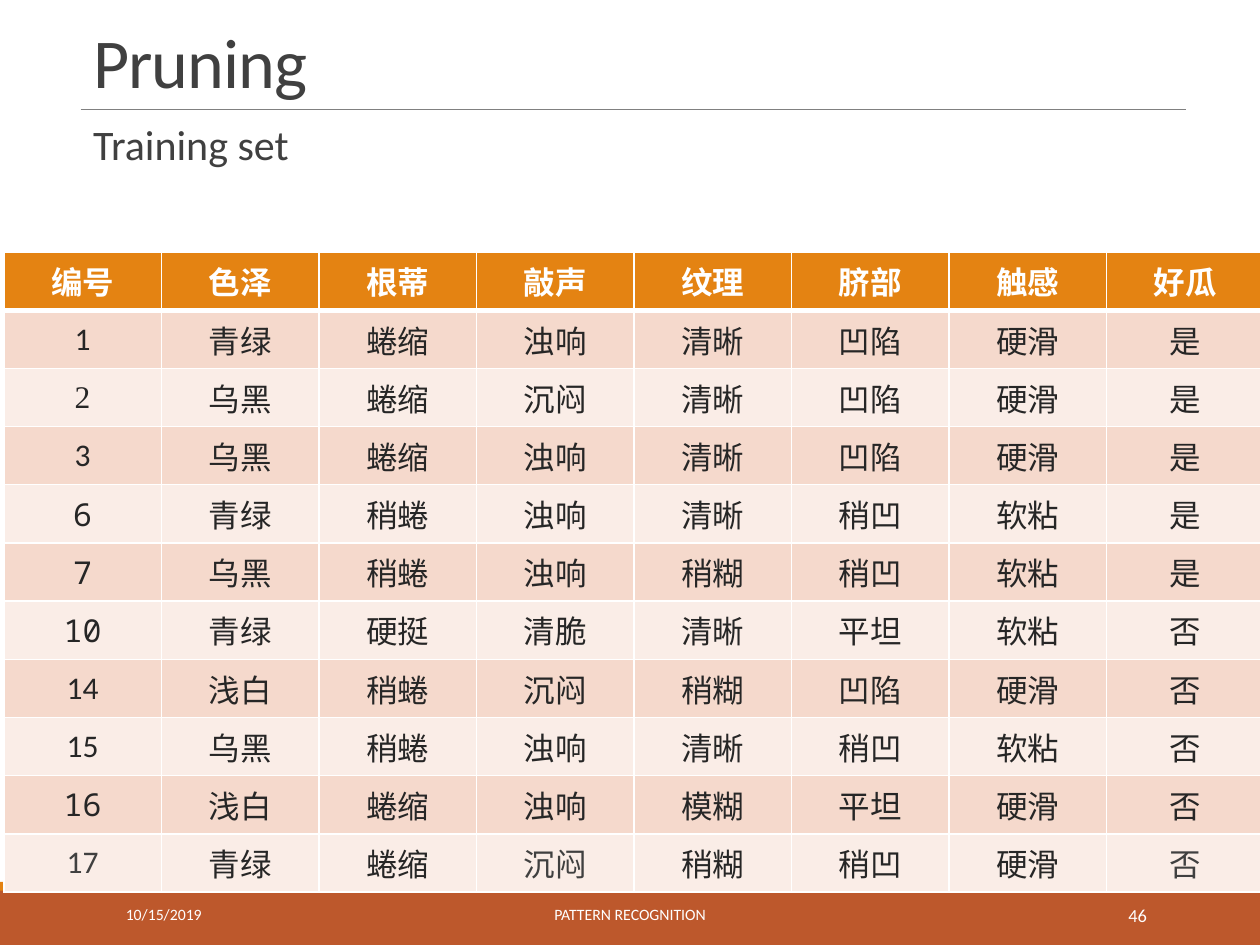
from dataclasses import dataclass

from lxml import etree
from pptx import Presentation
from pptx import util as u
from pptx.dml.color import RGBColor
from pptx.enum import shapes, text
from pptx.oxml import ns


@dataclass(frozen=True)
class Theme:
    orange: RGBColor = RGBColor.from_string("E48312")
    rust: RGBColor = RGBColor.from_string("BD582C")
    rule: RGBColor = RGBColor.from_string("808080")
    heading: RGBColor = RGBColor.from_string("404040")
    body: RGBColor = RGBColor.from_string("262626")
    white: RGBColor = RGBColor.from_string("FFFFFF")
    bands: tuple = (RGBColor.from_string("F5D9CC"), RGBColor.from_string("FAEDE7"))
    font: str = "Calibri"
    title_size: float = 40
    subtitle_size: float = 24
    table_size: float = 18
    footer_size: float = 9
    number_size: float = 10.5


theme = Theme()


def style(paragraph, size, color, name=theme.font, bold=False):
    font = paragraph.font
    font.size, font.name, font.bold = u.Pt(size), name, bold
    font.color.rgb = color


def add_borders(cell, top, bottom):
    """Draw white cell borders; top and bottom are widths in points."""
    properties = cell._tc.get_or_add_tcPr()
    widths = {"a:lnL": 1, "a:lnR": 1, "a:lnT": top, "a:lnB": bottom}
    for index, (tag, width) in enumerate(widths.items()):
        line = etree.Element(ns.qn(tag), w=str(u.Pt(width)))
        fill = etree.SubElement(line, ns.qn("a:solidFill"))
        etree.SubElement(fill, ns.qn("a:srgbClr"), val=str(theme.white))
        properties.insert(index, line)


presentation = Presentation()
presentation.slide_width = u.Inches(10)
presentation.slide_height = u.Inches(7.5)
slide = presentation.slides.add_slide(presentation.slide_layouts[5])

# Footer bars and title rule
for top, height, color in ((7.06, 0.44, theme.rust), (7, 0.07, theme.orange)):
    bar = slide.shapes.add_shape(
        shapes.MSO_SHAPE.RECTANGLE, 0, u.Inches(top), u.Inches(10), u.Inches(height))
    bar.shadow.inherit = False
    bar.fill.solid()
    bar.fill.fore_color.rgb = color
    bar.line.fill.background()

rule = slide.shapes.add_connector(
    shapes.MSO_CONNECTOR.STRAIGHT,
    u.Inches(0.64), u.Inches(0.87), u.Inches(9.41), u.Inches(0.87))
rule.line.color.rgb = theme.rule
rule.line.width = u.Pt(0.5)
etree.SubElement(rule._element.spPr, ns.qn("a:effectLst"))

# Title
title = slide.shapes.title
title.left, title.top = u.Inches(0.64), u.Inches(0.13)
title.width, title.height = u.Inches(8.77), u.Inches(0.74)
title.text_frame.text = "Pruning"
title.text_frame.auto_size = text.MSO_AUTO_SIZE.NONE
title.text_frame.vertical_anchor = text.MSO_ANCHOR.BOTTOM
paragraph = title.text_frame.paragraphs[0]
paragraph.alignment = text.PP_ALIGN.LEFT
paragraph.line_spacing = 0.85
style(paragraph, theme.title_size, theme.heading)
paragraph.runs[0].font._element.set("spc", "-50")

# Subtitle
subtitle = slide.shapes.add_textbox(
    u.Inches(0.64), u.Inches(0.94), u.Inches(8.77), u.Inches(0.6))
frame = subtitle.text_frame
frame.word_wrap = True
frame.margin_left = frame.margin_right = 0
frame.text = "Training set"
paragraph = frame.paragraphs[0]
paragraph.line_spacing = 0.9
paragraph.space_after = u.Pt(2)
properties = paragraph._p.get_or_add_pPr()
properties.set("marL", str(u.Inches(0.1)))
properties.set("indent", "0")
style(paragraph, theme.subtitle_size, theme.heading)

# Footer texts
footers = (
    (0.9, 2.03, "10/15/2019", text.PP_ALIGN.LEFT, theme.footer_size),
    (3.02, 3.96, "PATTERN RECOGNITION", text.PP_ALIGN.CENTER, theme.footer_size),
    (8.12, 1.08, "46", text.PP_ALIGN.RIGHT, theme.number_size),
)
for left, width, label, alignment, size in footers:
    footer = slide.shapes.add_textbox(
        u.Inches(left), u.Inches(7.06), u.Inches(width), u.Inches(0.4))
    frame = footer.text_frame
    frame.word_wrap = True
    frame.vertical_anchor = text.MSO_ANCHOR.MIDDLE
    frame.text = label
    frame.paragraphs[0].alignment = alignment
    style(frame.paragraphs[0], size, theme.white)

# Training samples, each with one font code per column
fonts = {"C": theme.font, "T": "Times New Roman", "M": "Noto Sans Mono"}
samples = (
    ("编号 色泽 根蒂 敲声 纹理 脐部 触感 好瓜", "CCCCCCCC"),
    ("1 青绿 蜷缩 浊响 清晰 凹陷 硬滑 是", "CCCCCCCC"),
    ("2 乌黑 蜷缩 沉闷 清晰 凹陷 硬滑 是", "TTCTCCCT"),
    ("3 乌黑 蜷缩 浊响 清晰 凹陷 硬滑 是", "CTCCCCCC"),
    ("6 青绿 稍蜷 浊响 清晰 稍凹 软粘 是", "MCCCCMMM"),
    ("7 乌黑 稍蜷 浊响 稍糊 稍凹 软粘 是", "MTCCMMMM"),
    ("10 青绿 硬挺 清脆 清晰 平坦 软粘 否", "MCMMCMMM"),
    ("14 浅白 稍蜷 沉闷 稍糊 凹陷 硬滑 否", "CCCCCCCC"),
    ("15 乌黑 稍蜷 浊响 清晰 稍凹 软粘 否", "CCCCCMCC"),
    ("16 浅白 蜷缩 浊响 模糊 平坦 硬滑 否", "MMCCCMCM"),
    ("17 青绿 蜷缩 沉闷 稍糊 稍凹 硬滑 否", "CCCCCMCC"),
)
last_row = len(samples) - 1
muted_cells = {(last_row, 0), (last_row, 3), (last_row, 7)}

table = slide.shapes.add_table(
    len(samples), 8, u.Inches(0.03), u.Inches(2),
    u.Inches(10), u.Inches(5.08)).table
for row, (values, codes) in enumerate(samples):
    header = row == 0
    for column, (value, code) in enumerate(zip(values.split(), codes)):
        cell = table.cell(row, column)
        cell.text = value
        cell.vertical_anchor = text.MSO_ANCHOR.MIDDLE
        cell.fill.solid()
        cell.fill.fore_color.rgb = theme.orange if header else theme.bands[(row - 1) % 2]
        add_borders(cell, top=3 if row == 1 else 1, bottom=3 if header else 1)
        if header:
            color = theme.white
        else:
            color = theme.heading if (row, column) in muted_cells else theme.body
        paragraph = cell.text_frame.paragraphs[0]
        paragraph.alignment = text.PP_ALIGN.CENTER
        style(paragraph, theme.table_size, color, fonts[code], bold=header)

presentation.save("out.pptx")
